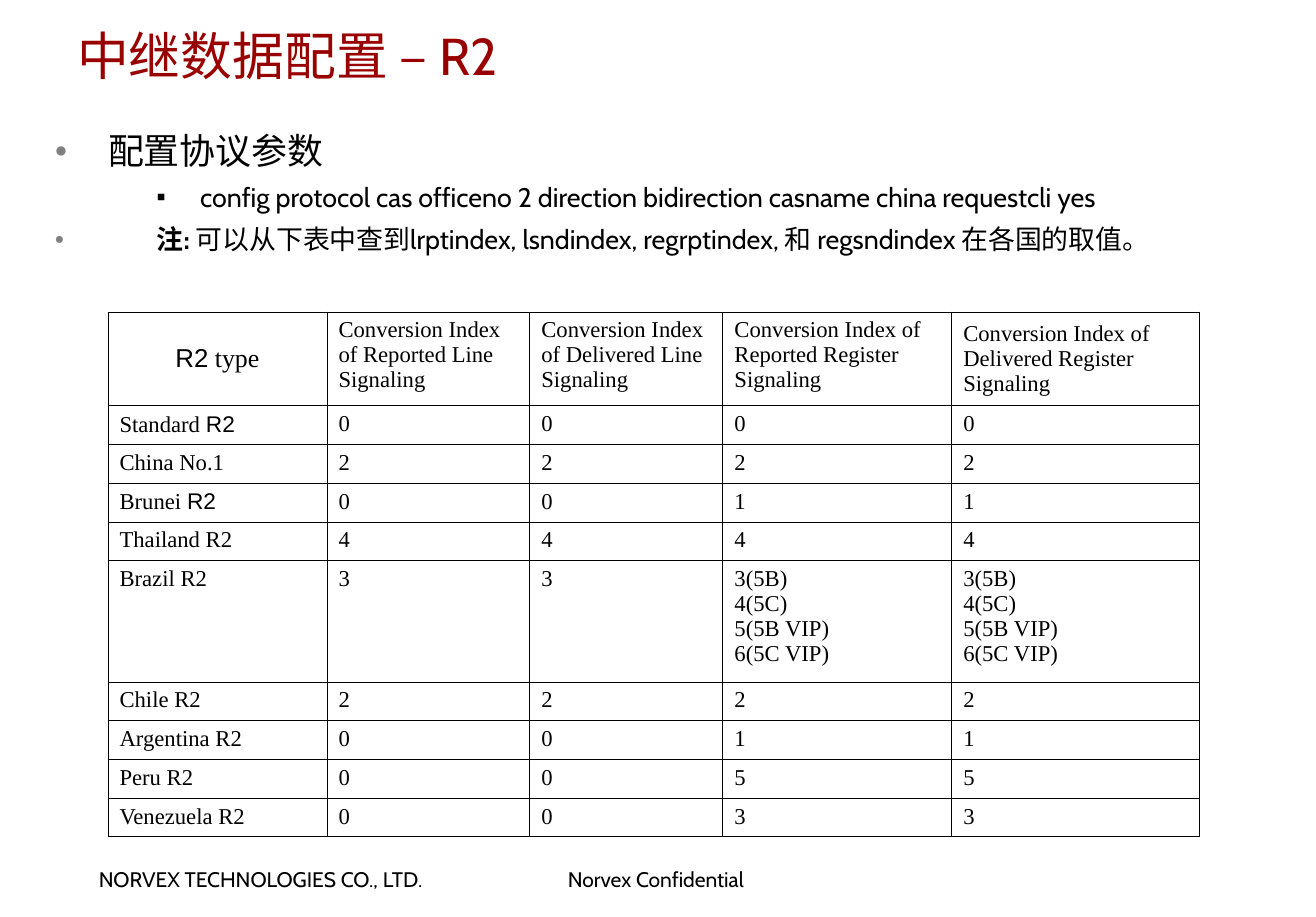
import dataclasses

import lxml.etree
import pptx
import pptx.dml.color
import pptx.enum.text
import pptx.oxml.ns
import pptx.util

Pt = pptx.util.Pt
Anchor = pptx.enum.text.MSO_ANCHOR
Align = pptx.enum.text.PP_ALIGN


@dataclasses.dataclass(frozen=True)
class Theme:
    """Fonts, colours and type sizes of the slide."""

    main: str = "Cabin"
    table: str = "Times New Roman"
    label: str = "Arial"
    red: str = "990000"
    black: str = "000000"
    grey: str = "808080"
    title_size: float = 32
    topic_size: float = 22.2
    detail_size: float = 16.6
    head_size: float = 16
    cell_size: float = 14
    footer_size: float = 13
    border: float = 0.45


THEME = Theme()

COLUMN_WIDTHS = (135.4, 125.4, 119.4, 141.5, 153.3)
HEAD_HEIGHT, ROW_HEIGHT, TALL_HEIGHT = 58, 23.95, 75
BRAZIL_CODES = "3(5B)\n4(5C)\n5(5B VIP)\n6(5C VIP)"
HEADINGS = (
    "Conversion Index of Reported Line Signaling",
    "Conversion Index of Delivered Line Signaling",
    "Conversion Index of Reported Register Signaling",
    "Conversion Index of Delivered Register Signaling",
)
R2_TYPES = (
    ("Standard", THEME.label, "0", "0"),
    ("China No.1", None, "2", "2"),
    ("Brunei", THEME.label, "0", "1"),
    ("Thailand", THEME.table, "4", "4"),
    ("Brazil", THEME.table, "3", BRAZIL_CODES),
    ("Chile", THEME.table, "2", "2"),
    ("Argentina", THEME.table, "0", "1"),
    ("Peru", THEME.table, "0", "5"),
    ("Venezuela", THEME.table, "0", "3"),
)


def add_text(para, text, *, size, font=THEME.main, color=THEME.black, bold=False):
    """Append a formatted span to a paragraph."""
    span = para.add_run()
    span.text = text
    span.font.name = font
    span.font.size = Pt(size)
    span.font.bold = bold
    span.font.color.rgb = pptx.dml.color.RGBColor.from_string(color)


def add_element(parent, tag, **attributes):
    """Append a drawing element and return it."""
    name = pptx.oxml.ns.qn(f"a:{tag}")
    return lxml.etree.SubElement(parent, name, attributes)


def place(box, left, top, width, height):
    """Move and size a shape, in points."""
    box.left, box.top = Pt(left), Pt(top)
    box.width, box.height = Pt(width), Pt(height)


def set_bullet(para, char, *, color, percent, margin, hanging):
    """Give a paragraph a bullet, a hanging indent and its line spacing."""
    props = para._p.get_or_add_pPr()
    props.set("marL", str(Pt(margin)))
    props.set("indent", str(-Pt(hanging)))
    add_element(add_element(props, "buClr"), "srgbClr", val=color)
    add_element(props, "buSzPct", val=str(percent * 1000))
    add_element(props, "buFont", typeface=THEME.label)
    add_element(props, "buChar", char=char)
    para.line_spacing = 1.3
    para.space_before = Pt(0)


def fill_title(box):
    """Write the slide title."""
    place(box, 40.5, 17, 689, 34)
    frame = box.text_frame
    frame.auto_size = pptx.enum.text.MSO_AUTO_SIZE.NONE
    frame.vertical_anchor = Anchor.MIDDLE
    para = frame.paragraphs[0]
    para.alignment = Align.LEFT
    add_text(para, "中继数据配置 – R2", size=THEME.title_size, color=THEME.red)


def fill_body(box):
    """Write the topic, its command and the note."""
    place(box, 26.6, 67.7, 759.6, 118.8)
    frame = box.text_frame
    frame.auto_size = pptx.enum.text.MSO_AUTO_SIZE.NONE
    frame.vertical_anchor = Anchor.TOP
    topic, command, note = frame.paragraphs[0], frame.add_paragraph(), frame.add_paragraph()
    command.level = 1
    set_bullet(topic, "●", color=THEME.grey, percent=60, margin=33, hanging=33)
    set_bullet(command, "■", color=THEME.black, percent=50, margin=90, hanging=26.6)
    set_bullet(note, "●", color=THEME.grey, percent=60, margin=63.2, hanging=63.2)
    add_text(topic, "配置协议参数", size=THEME.topic_size)
    add_text(
        command,
        "config protocol cas officeno 2 direction bidirection casname china requestcli yes",
        size=THEME.detail_size,
    )
    add_text(note, "注: ", size=THEME.detail_size, bold=True)
    add_text(
        note,
        "可以从下表中查到lrptindex, lsndindex, regrptindex, 和 regsndindex 在各国的取值。",
        size=THEME.detail_size,
    )


def style_cell(cell):
    """Clear the fill of a cell and draw its four borders."""
    cell.fill.background()
    props = cell._tc.get_or_add_tcPr()
    for index, side in enumerate(("lnL", "lnR", "lnT", "lnB")):
        line = add_element(props, side, w=str(Pt(THEME.border)))
        add_element(add_element(line, "solidFill"), "srgbClr", val=THEME.black)
        props.insert(index, line)


def fill_cell(cell, spans, *, size=THEME.cell_size, anchor=Anchor.TOP, align=Align.LEFT):
    """Write (text, font) spans in a cell, with a paragraph for each line."""
    style_cell(cell)
    cell.vertical_anchor = anchor
    para = cell.text_frame.paragraphs[0]
    para.alignment = align
    for text, font in spans:
        for index, line in enumerate(text.split("\n")):
            if index:
                para = cell.text_frame.add_paragraph()
            add_text(para, line, size=size, font=font)


def add_index_table(page):
    """Add the table of conversion indexes by R2 type."""
    heights = [HEAD_HEIGHT] + [
        TALL_HEIGHT if "\n" in register else ROW_HEIGHT for *_, register in R2_TYPES
    ]
    table = page.shapes.add_table(
        len(heights), len(COLUMN_WIDTHS), Pt(66.7), Pt(192.7),
        Pt(sum(COLUMN_WIDTHS)), Pt(sum(heights)),
    ).table
    table.first_row = table.horz_banding = False
    for column, width in zip(table.columns, COLUMN_WIDTHS):
        column.width = Pt(width)
    for row, height in zip(table.rows, heights):
        row.height = Pt(height)

    fill_cell(
        table.cell(0, 0), [("R2", THEME.label), (" type", THEME.table)],
        size=THEME.head_size, anchor=Anchor.MIDDLE, align=Align.CENTER,
    )
    for column, heading in enumerate(HEADINGS, 1):
        anchor = Anchor.MIDDLE if column == len(HEADINGS) else Anchor.TOP
        fill_cell(table.cell(0, column), [(heading, THEME.table)], anchor=anchor)
    for row, (name, r2_font, line, register) in enumerate(R2_TYPES, 1):
        spans = [(f"{name} ", THEME.table), ("R2", r2_font)] if r2_font else [(name, THEME.table)]
        fill_cell(table.cell(row, 0), spans)
        for column, value in enumerate((line, line, register, register), 1):
            fill_cell(table.cell(row, column), [(value, THEME.table)])


def add_footer(page, text, left, width):
    """Add a one-line footer text."""
    box = page.shapes.add_textbox(Pt(left), Pt(532), Pt(width), Pt(22.3))
    box.text_frame.word_wrap = False
    add_text(box.text_frame.paragraphs[0], text, size=THEME.footer_size)


def main():
    """Build the slide and save the deck."""
    deck = pptx.Presentation()
    deck.slide_width, deck.slide_height = Pt(813.6), Pt(566.64)
    page = deck.slides.add_slide(deck.slide_layouts[1])
    fill_title(page.shapes.title)
    fill_body(page.placeholders[1])
    add_index_table(page)
    add_footer(page, "NORVEX TECHNOLOGIES CO., LTD.", 54, 232.6)
    add_footer(page, "Norvex Confidential", 344, 144)
    deck.save("out.pptx")


if __name__ == "__main__":
    main()
